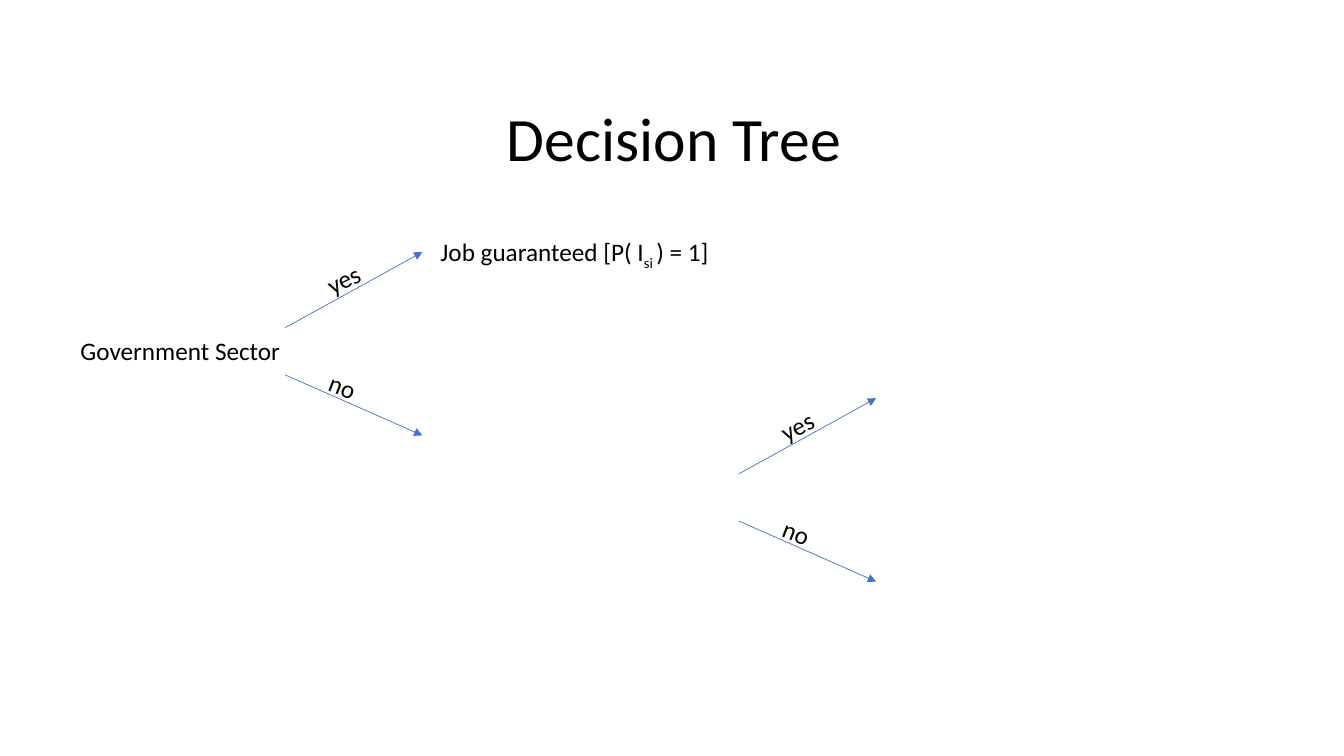
from pptx import Presentation
from pptx.dml.color import RGBColor
from pptx.enum.shapes import MSO_CONNECTOR
from pptx.enum.text import MSO_ANCHOR, MSO_AUTO_SIZE
from pptx.oxml.ns import qn
from pptx.util import Inches, Pt
from lxml import etree

COLORS = {"text": "000000", "arrow": "4472C4"}
FONT = "Calibri"

deck = Presentation()
deck.slide_width = Inches(13.33)
deck.slide_height = Inches(7.5)
page = deck.slides.add_slide(deck.slide_layouts[6])


def add_text(pieces, left, top, width, height=0.4, size=18, rotation=0):
    box = page.shapes.add_textbox(Inches(left), Inches(top), Inches(width), Inches(height))
    box.rotation = rotation
    box.text_frame.word_wrap = False
    box.text_frame.auto_size = MSO_AUTO_SIZE.SHAPE_TO_FIT_TEXT
    para = box.text_frame.paragraphs[0]
    for piece in pieces:
        span = para.add_run()
        span.text = piece
        span.font.name = FONT
        span.font.size = Pt(size)
        span.font.color.rgb = RGBColor.from_string(COLORS["text"])
    return box


def add_arrow(start_x, start_y, end_x, end_y):
    arrow = page.shapes.add_connector(
        MSO_CONNECTOR.STRAIGHT, Inches(start_x), Inches(start_y), Inches(end_x), Inches(end_y)
    )
    arrow.line.color.rgb = RGBColor.from_string(COLORS["arrow"])
    arrow.line.width = Pt(0.5)
    etree.SubElement(arrow.line._get_or_add_ln(), qn("a:tailEnd"), type="triangle")
    etree.SubElement(arrow._element.spPr, qn("a:effectLst"))


title = add_text(["Decision Tree"], 4.93, 0.68, 11.5, 1.45, size=44)
title.text_frame.auto_size = MSO_AUTO_SIZE.NONE
title.text_frame.word_wrap = True
title.text_frame.vertical_anchor = MSO_ANCHOR.MIDDLE
title.text_frame.paragraphs[0].line_spacing = 0.9

add_text(["Government Sector"], 0.7, 3.28, 2.2)

for fork_x, fork_y in [(2.83, 3.25), (7.33, 4.7)]:
    add_arrow(fork_x, fork_y, fork_x + 1.36, fork_y - 0.75)
    add_arrow(fork_x, fork_y + 0.47, fork_x + 1.36, fork_y + 1.07)
    add_text(["yes"], fork_x + 0.31, fork_y - 0.68, 0.54, rotation=333.2)
    add_text(["no"], fork_x + 0.34, fork_y + 0.38, 0.47, rotation=21.2)

outcome = add_text(["Job guaranteed [P( I", "si ", ") = 1]"], 4.27, 2.3, 2.95)
subscript = outcome.text_frame.paragraphs[0].runs[1]
subscript._r.get_or_add_rPr().set("baseline", "-25000")

deck.save("out.pptx")
